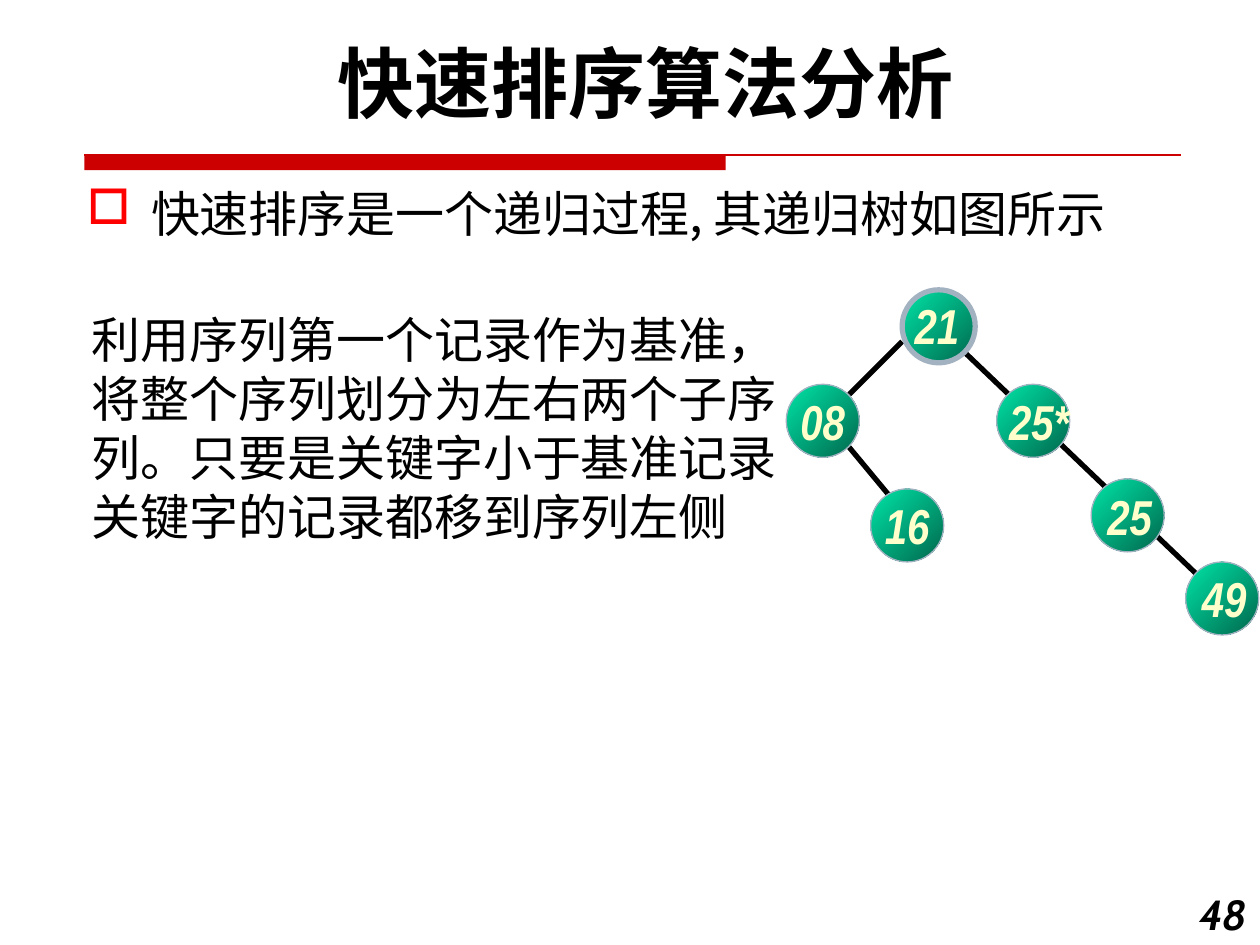
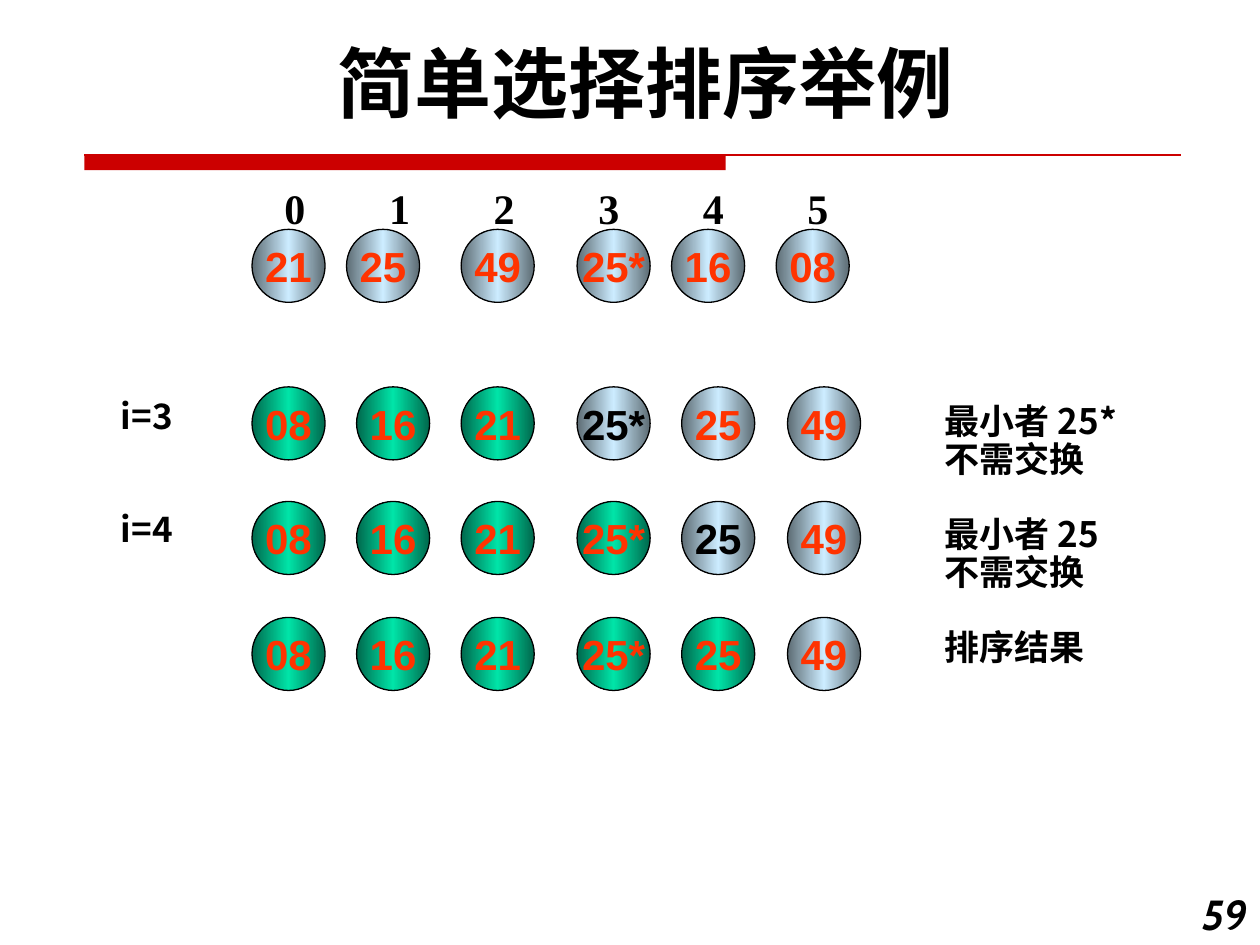
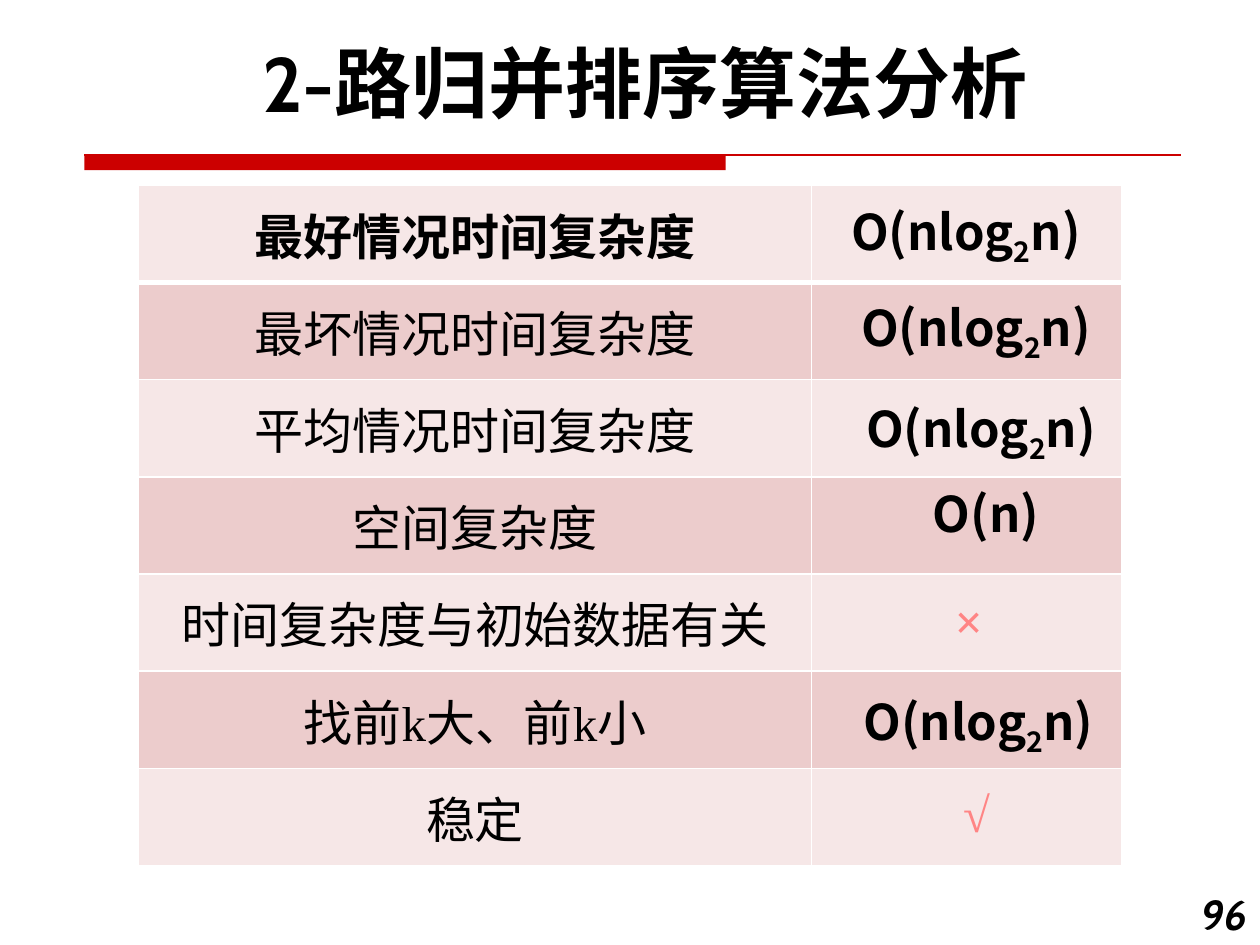
"""Build three slides on the analysis of sorting algorithms."""
import lxml.etree
import pptx
import pptx.dml.color
import pptx.enum.shapes
import pptx.enum.text
import pptx.oxml.ns
import pptx.util

qn = pptx.oxml.ns.qn
Inches = pptx.util.Inches
Pt = pptx.util.Pt
ALIGN = pptx.enum.text.PP_ALIGN
MIDDLE = pptx.enum.text.MSO_ANCHOR.MIDDLE
SHAPES = pptx.enum.shapes.MSO_SHAPE
STRAIGHT = pptx.enum.shapes.MSO_CONNECTOR.STRAIGHT

COLORS = {
    "text": "000000", "white": "FFFFFF", "band": "CC0000", "bullet": "FF0000",
    "node text": "FFFFCC", "node edge": "A3B2C1", "key": "FF3300", "mark": "FF8585",
    "light row": "F6E7E7", "dark row": "ECCCCC",
    "green": "00E4A8", "deep green": "00684C", "steel": "5D6C74", "ice": "CCECFF",
}
CJK = "Noto Sans CJK SC"
SERIF = "Times New Roman"
BODY = dict(font=CJK, size=28)
NOTE = dict(font=CJK, size=20, bold=True)
TITLE = dict(font="Cabin", size=44, bold=True)
PAGE_NUMBER = dict(font="Cabin", size=24, bold=True, italic=True)
NODE_TEXT = dict(font="Arial Narrow", size=28, bold=True, italic=True, color="node text")
KEY_TEXT = dict(font="Arial", size=24, bold=True)
INDEX_TEXT = dict(font=SERIF, size=24, bold=True)
MARK = dict(font=SERIF, size=28, bold=True, color="mark")
COST = dict(font=CJK, size=28, bold=True)

DIAMETER = 0.58
TREE_FILL = (("green", "deep green"), 315)
SORTED_FILL = (("deep green", "green", "deep green"), 0)
UNSORTED_FILL = (("steel", "ice", "steel"), 0)

RECURSION = "快速排序是一个递归过程, 其递归树如图所示"
PARTITION = ("利用序列第一个记录作为基准，将整个序列划分为左右两个子序列。"
             "只要是关键字小于基准记录关键字的记录都移到序列左侧")
TREE_EDGES = [(6.74, 3.55, 7.08, 3.96), (7.66, 2.8, 9.49, 4.55), (7.16, 2.71, 6.74, 3.13)]
TREE_NODES = [
    ("49", 9.41, 4.46, 0.75, (9.44, 4.46, 0.56)),
    ("25", 8.66, 3.8, 0.75, (8.69, 3.81, 0.56)),
    ("21", 7.16, 2.3, 3, (7.16, 2.3, 0.68)),
    ("25*", 7.91, 3.05, 0.75, (7.91, 3.06, 0.68)),
    ("08", 6.24, 3.05, 0.75, None),
    ("16", 6.91, 3.88, 0.75, None),
]

COLUMNS = [2, 2.83, 3.66, 4.58, 5.41, 6.25]
START_COLUMNS = [2, 2.75, 3.66, 4.58, 5.33, 6.16]
INDEX_PITCH = 0.83
SORTED_KEYS = ["08", "16", "21", "25*", "25", "49"]
PASSES = [
    (1.82, START_COLUMNS, ["21", "25", "49", "25*", "16", "08"], 0, None),
    (3.07, COLUMNS, SORTED_KEYS, 3, 3),
    (3.98, COLUMNS, SORTED_KEYS, 4, 4),
    (4.9, COLUMNS, SORTED_KEYS, 5, None),
]
LINE = 21.4
PASS_LABELS = [("i=3", 0), ("i=4", 2 * LINE)]
PASS_NOTES = [("最小者 25*", 0), ("不需交换", 0), ("最小者 25", LINE),
              ("不需交换", 0), ("排序结果", LINE)]

CRITERIA = ["最好情况时间复杂度", "最坏情况时间复杂度", "平均情况时间复杂度", "空间复杂度",
            "时间复杂度与初始数据有关", "找前k大、前k小", "稳定"]
N_LOG_N = [("O(nlog", 0), ("2", -25), ("n)", 0)]
RATINGS = [
    ([("√", 0)], 7.54, 6.17, 0.42, MARK),
    ([("O(n)", 0)], 6.75, 3.79, 2.15, COST),
    (N_LOG_N, 6.69, 5.44, 2.15, COST),
    (N_LOG_N, 6.59, 1.55, 2.15, COST),
    (N_LOG_N, 6.67, 2.31, 2.15, COST),
    (N_LOG_N, 6.71, 3.11, 2.15, COST),
    ([("×", 0)], 7.39, 4.64, 0.6, MARK),
]


def rgb(name):
    return pptx.dml.color.RGBColor.from_string(COLORS[name])


def add_run(paragraph, text, font, size, bold=False, italic=False, color="text", baseline=0):
    run = paragraph.add_run()
    run.text = text
    run.font.name, run.font.size = font, Pt(size)
    run.font.bold, run.font.italic = bold, italic
    run.font.color.rgb = rgb(color)
    properties = run._r.get_or_add_rPr()
    lxml.etree.SubElement(properties, qn("a:ea")).set("typeface", CJK)
    if baseline:
        properties.set("baseline", str(baseline * 1000))


def add_text(slide, box, text, style, align=ALIGN.LEFT, wrap=True):
    frame = slide.shapes.add_textbox(*map(Inches, box)).text_frame
    frame.word_wrap = wrap
    paragraph = frame.paragraphs[0]
    paragraph.alignment = align
    for piece, baseline in [(text, 0)] if isinstance(text, str) else text:
        add_run(paragraph, piece, baseline=baseline, **style)
    return paragraph


def add_lines(slide, box, lines):
    frame = slide.shapes.add_textbox(*map(Inches, box)).text_frame
    frame.word_wrap = True
    for row, (text, gap) in enumerate(lines):
        paragraph = frame.add_paragraph() if row else frame.paragraphs[0]
        paragraph.line_spacing, paragraph.space_before = 0.9, Pt(gap)
        add_run(paragraph, text, **NOTE)


def add_line(slide, ends, color, width):
    line = slide.shapes.add_connector(STRAIGHT, *map(Inches, ends))
    line.line.color.rgb, line.line.width = rgb(color), Pt(width)
    lxml.etree.SubElement(line._element.spPr, qn("a:effectLst"))


def add_circle(slide, left, top, gradient, edge, width, label=None, style=None):
    circle = slide.shapes.add_shape(SHAPES.OVAL, *map(Inches, (left, top, DIAMETER, DIAMETER)))
    circle.shadow.inherit = False
    circle.line.color.rgb, circle.line.width = rgb(edge), Pt(width)
    names, angle = gradient
    circle.fill.gradient()
    circle.fill.gradient_angle = angle
    stops = circle._element.spPr.find(qn("a:gradFill")).find(qn("a:gsLst"))
    for stop in list(stops):
        stops.remove(stop)
    for place, name in enumerate(names):
        stop = lxml.etree.SubElement(stops, qn("a:gs"))
        stop.set("pos", str(100000 * place // (len(names) - 1)))
        lxml.etree.SubElement(stop, qn("a:srgbClr")).set("val", COLORS[name])
    if label:
        frame = circle.text_frame
        frame.word_wrap, frame.vertical_anchor = False, MIDDLE
        frame.paragraphs[0].alignment = ALIGN.CENTER
        add_run(frame.paragraphs[0], label, **style)


def add_page(deck, title, number):
    slide = deck.slides.add_slide(deck.slide_layouts[6])
    band = slide.shapes.add_shape(SHAPES.RECTANGLE, *map(Inches, (0.67, 1.23, 5.09, 0.12)))
    band.shadow.inherit = False
    band.fill.solid()
    band.fill.fore_color.rgb = rgb("band")
    band.line.fill.background()
    add_line(slide, (0.67, 1.23, 9.37, 1.23), "band", 0.75)
    add_text(slide, (9.33, 7, 0.67, 0.5), number, PAGE_NUMBER, ALIGN.RIGHT)
    add_text(slide, (0.5, 0.23, 9.25, 0.84), title, TITLE, ALIGN.CENTER)
    return slide


def add_bullet(paragraph):
    properties = paragraph._p.get_or_add_pPr()
    properties.set("marL", str(Inches(0.51)))
    properties.set("indent", str(-Inches(0.51)))
    color = lxml.etree.SubElement(properties, qn("a:buClr"))
    lxml.etree.SubElement(color, qn("a:srgbClr")).set("val", COLORS["bullet"])
    lxml.etree.SubElement(properties, qn("a:buChar")).set("char", "□")


def add_tabs(paragraph, pitch, count):
    stops = lxml.etree.SubElement(paragraph._p.get_or_add_pPr(), qn("a:tabLst"))
    for place in range(1, count):
        stop = lxml.etree.SubElement(stops, qn("a:tab"))
        stop.set("pos", str(Inches(pitch * place)))
        stop.set("algn", "l")


def style_cell(cell, row):
    properties = cell._tc.get_or_add_tcPr()
    widths = {"a:lnL": 1, "a:lnR": 1, "a:lnT": 3 if row == 1 else 1, "a:lnB": 3 if row == 0 else 1}
    for side, width in widths.items():
        border = lxml.etree.SubElement(properties, qn(side))
        border.set("w", str(Pt(width)))
        fill = lxml.etree.SubElement(border, qn("a:solidFill"))
        lxml.etree.SubElement(fill, qn("a:srgbClr")).set("val", COLORS["white"])
    cell.fill.solid()
    cell.fill.fore_color.rgb = rgb("dark row" if row % 2 else "light row")


def build_quick_sort(deck):
    slide = add_page(deck, "快速排序算法分析", "48")
    add_bullet(add_text(slide, (0.59, 1.41, 9.58, 0.57), RECURSION, BODY))
    for edge in TREE_EDGES:
        add_line(slide, edge, "text", 3)
    for key, left, top, width, label_box in TREE_NODES:
        inner = None if label_box else key
        add_circle(slide, left, top, TREE_FILL, "node edge", width, inner, NODE_TEXT)
        if label_box:
            add_text(slide, (*label_box, 0.57), key, NODE_TEXT, wrap=False)
    add_text(slide, (0.63, 2.41, 5.67, 2.52), PARTITION, BODY)


def build_selection_sort(deck):
    slide = add_page(deck, "简单选择排序举例", "59")
    indexes = "\t".join(str(index) for index in range(len(COLUMNS)))
    add_tabs(add_text(slide, (2.16, 1.4, 4.87, 0.5), indexes, INDEX_TEXT),
             INDEX_PITCH, len(COLUMNS))
    for top, columns, keys, sorted_count, smallest in PASSES:
        for place, (left, key) in enumerate(zip(columns, keys)):
            gradient = SORTED_FILL if place < sorted_count else UNSORTED_FILL
            color = "text" if place == smallest else "key"
            add_circle(slide, left, top, gradient, "text", 0.75, key,
                       dict(KEY_TEXT, color=color))
    add_lines(slide, (7.4, 3.16, 1.6, 2.22), PASS_NOTES)
    add_lines(slide, (0.86, 3.12, 0.94, 1.92), PASS_LABELS)


def build_merge_sort(deck):
    slide = add_page(deck, "2-路归并排序算法分析", "96")
    table = slide.shapes.add_table(len(CRITERIA), 2, *map(Inches, (1.1, 1.47, 7.8, 5.4))).table
    table.columns[0].width, table.columns[1].width = Inches(5.34), Inches(2.46)
    for row, criterion in enumerate(CRITERIA):
        for column in range(2):
            style_cell(table.cell(row, column), row)
        cell = table.cell(row, 0)
        cell.vertical_anchor = MIDDLE
        paragraph = cell.text_frame.paragraphs[0]
        paragraph.alignment = ALIGN.CENTER
        add_run(paragraph, criterion, SERIF, 28, bold=row == 0)
    for rating, left, top, width, style in RATINGS:
        add_text(slide, (left, top, width, 0.57), rating, style, ALIGN.CENTER, style is COST)


def main():
    deck = pptx.Presentation()
    deck.slide_width, deck.slide_height = Inches(10), Inches(7.5)
    build_quick_sort(deck)
    build_selection_sort(deck)
    build_merge_sort(deck)
    deck.save("out.pptx")


if __name__ == "__main__":
    main()
